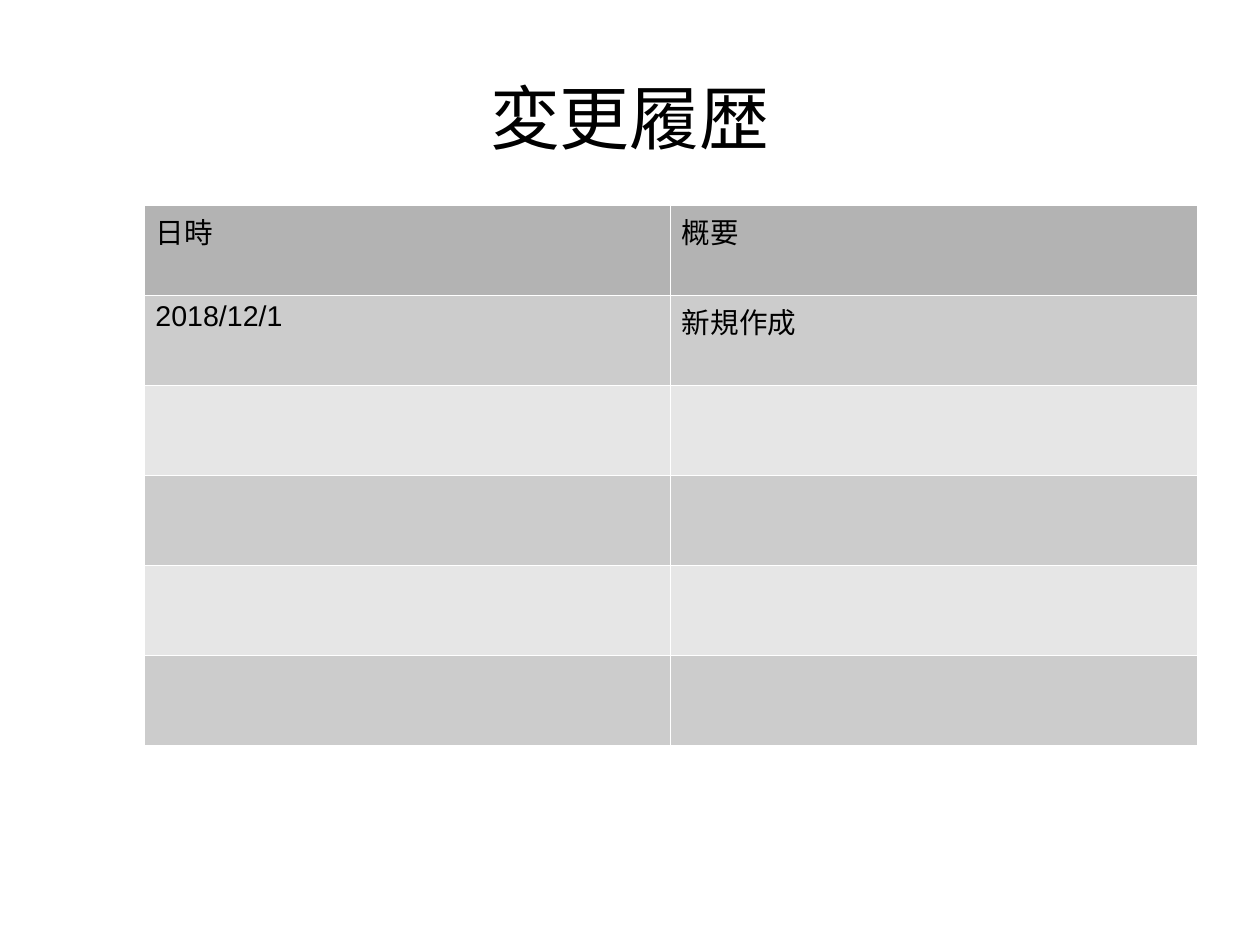
from lxml.etree import SubElement
from pptx import Presentation
from pptx.dml.color import RGBColor
from pptx.enum.text import MSO_ANCHOR, PP_ALIGN
from pptx.oxml.ns import qn
from pptx.util import Emu, Pt

SCALE = 3600
BLACK = RGBColor(0x00, 0x00, 0x00)
HEAD = RGBColor(0xB3, 0xB3, 0xB3)
DARK = RGBColor(0xCC, 0xCC, 0xCC)
LIGHT = RGBColor(0xE6, 0xE6, 0xE6)
WHITE = RGBColor(0xFF, 0xFF, 0xFF)
FONT = "Arial"
ROWS = [("日時", "概要"), ("2018/12/1", "新規作成")] + [("", "")] * 4


def px(size):
    """Turn px into EMU."""
    return Emu(size * SCALE)


def style(para, size):
    """Format the runs of a paragraph."""
    for run in para.runs:
        run.font.name = FONT
        run.font.size = Pt(size)
        run.font.bold = False
        run.font.color.rgb = BLACK


def edge(cell):
    """Give a cell thin white borders on all sides."""
    props = cell._tc.get_or_add_tcPr()
    for spot, side in enumerate(("lnL", "lnR", "lnT", "lnB")):
        line = SubElement(props, qn(f"a:{side}"), w=str(Pt(0.06)))
        fill = SubElement(line, qn("a:solidFill"))
        SubElement(fill, qn("a:srgbClr"), val=str(WHITE))
        props.insert(spot, line)


def add_title(slide, text, box):
    """Place the centred title in its box."""
    frame = slide.shapes.add_textbox(*map(px, box)).text_frame
    frame.word_wrap = True
    frame.vertical_anchor = MSO_ANCHOR.MIDDLE
    frame.margin_left = frame.margin_right = 0
    frame.margin_top = frame.margin_bottom = 0
    frame.text = text
    para = frame.paragraphs[0]
    para.alignment = PP_ALIGN.CENTER
    style(para, 44)


def add_log(slide, rows, box):
    """Place the change table, with equal rows and columns, in its box."""
    table = slide.shapes.add_table(len(rows), len(rows[0]), *map(px, box)).table
    for r, row in enumerate(rows):
        shade = HEAD if r == 0 else DARK if r % 2 else LIGHT
        for c, text in enumerate(row):
            cell = table.cell(r, c)
            cell.fill.solid()
            cell.fill.fore_color.rgb = shade
            edge(cell)
            cell.text_frame.text = text
            style(cell.text_frame.paragraphs[0], 18)


def main():
    """Build the slide and save it."""
    deck = Presentation()
    deck.slide_width, deck.slide_height = px(2800), px(2100)
    slide = deck.slides.add_slide(deck.slide_layouts[6])
    add_title(slide, "変更履歴", (140, 84, 2520, 351))
    add_log(slide, ROWS, (320, 455, 2340, 1200))
    deck.save("out.pptx")


if __name__ == "__main__":
    main()
